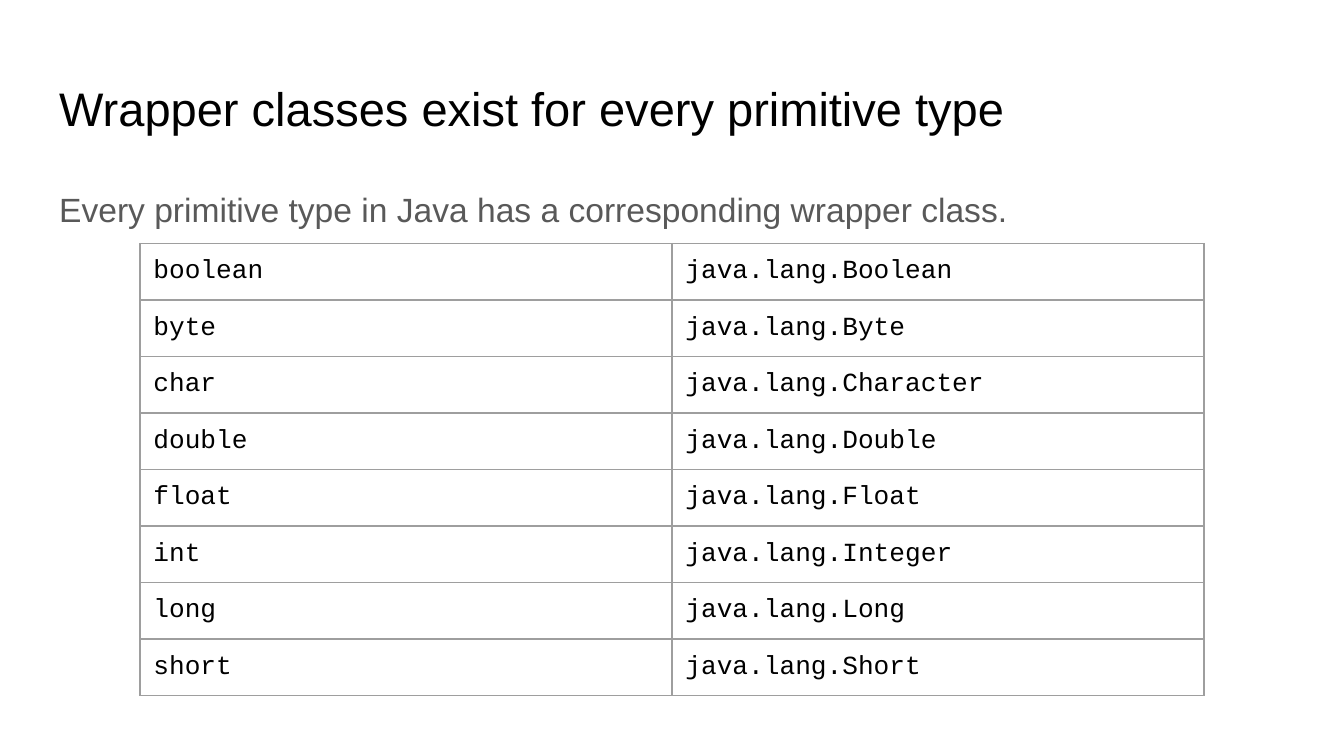
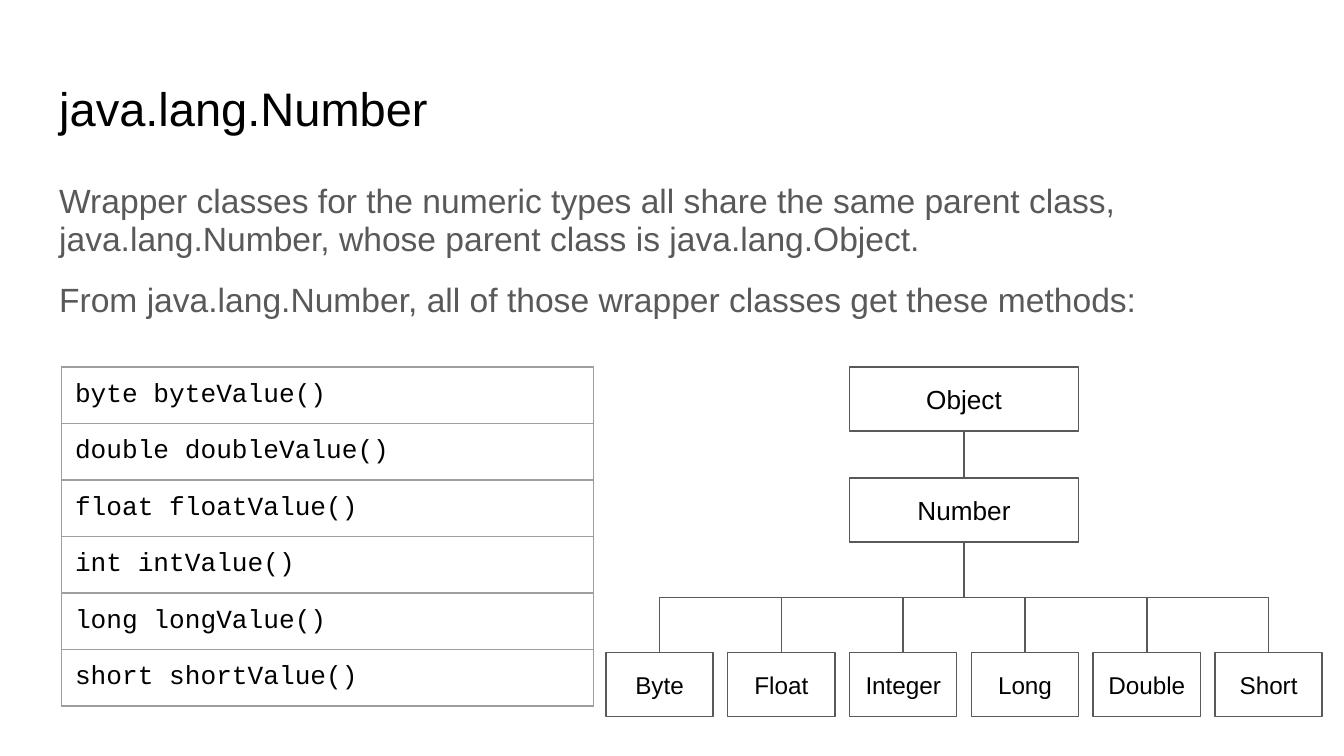
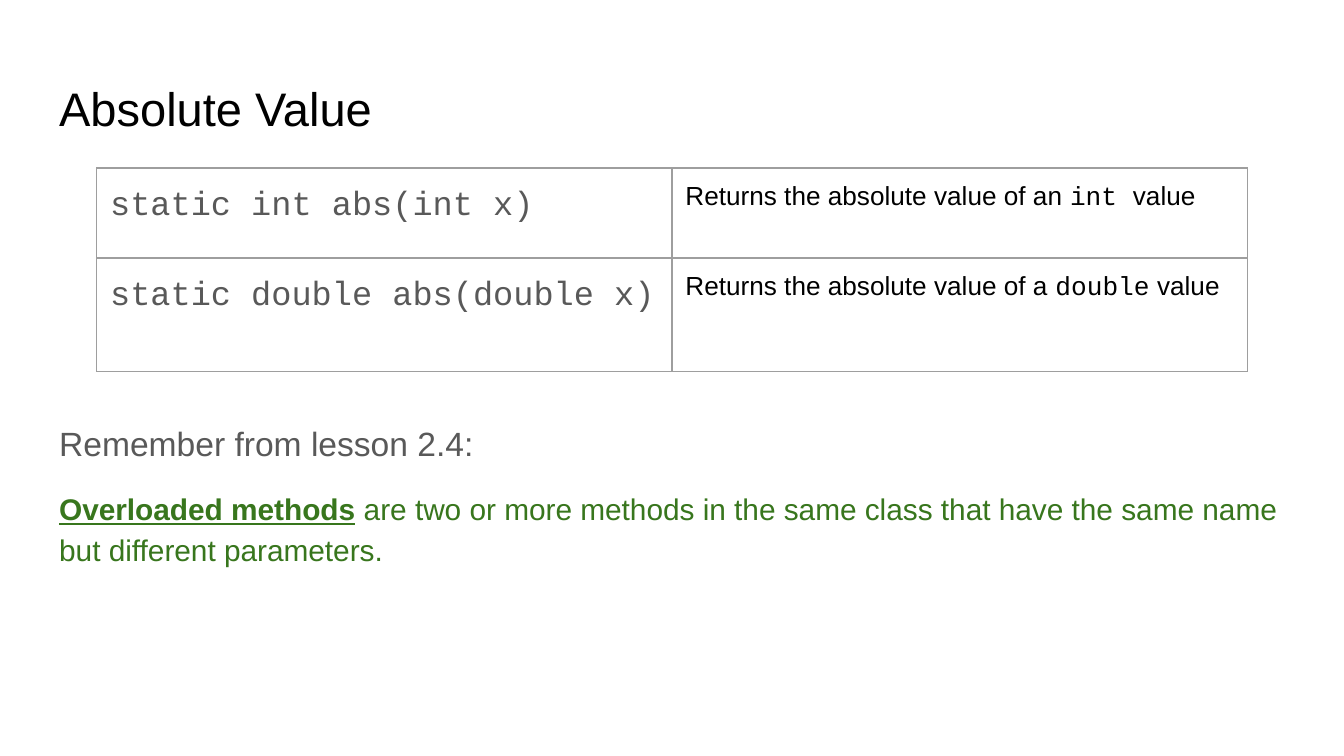
import dataclasses
import lxml.etree
import pptx
import pptx.dml.color
import pptx.enum.shapes
import pptx.enum.text
import pptx.oxml.ns
import pptx.util

Pt = pptx.util.Pt
qn = pptx.oxml.ns.qn
Align = pptx.enum.text.PP_ALIGN
Anchor = pptx.enum.text.MSO_ANCHOR
Link = pptx.enum.shapes.MSO_CONNECTOR


@dataclasses.dataclass(frozen=True)
class Theme:
    sans: str = "Arial"
    mono: str = "Courier New"
    ink: str = "000000"
    gray: str = "595959"
    rule: str = "9E9E9E"
    green: str = "38761D"
    title: float = 25.2
    body: float = 18
    term: float = 16
    cell: float = 14
    leaf: float = 13
    line: float = 0.75
    pad: float = 7.2


THEME = Theme()


def color(code):
    return pptx.dml.color.RGBColor.from_string(code)


def text(frame, words, bare=False, align=Align.LEFT, space=1, before=0, after=0, **base):
    para = frame.paragraphs[0]
    if para.runs:
        para = frame.add_paragraph()
    if bare:
        props = para._p.get_or_add_pPr()
        props.set("marL", "0")
        props.set("indent", "0")
        lxml.etree.SubElement(props, qn("a:buNone"))
    para.alignment = align
    para.line_spacing = space
    para.space_before, para.space_after = Pt(before), Pt(after)
    for part, extra in [(words, {})] if isinstance(words, str) else words:
        look = {"size": THEME.cell, "font": THEME.sans, "ink": THEME.ink, **base, **extra}
        run = para.add_run()
        run.text = part
        run.font.name = look["font"]
        run.font.size = Pt(look["size"])
        run.font.color.rgb = color(look["ink"])
        run.font.bold = run.font.underline = look.get("strong", False)


def pad(frame, anchor):
    frame.word_wrap = True
    frame.auto_size = pptx.enum.text.MSO_AUTO_SIZE.NONE
    frame.vertical_anchor = anchor
    frame.margin_left = frame.margin_right = Pt(THEME.pad)
    frame.margin_top = frame.margin_bottom = Pt(THEME.pad)


def place(shape, left, top, width, height):
    shape.left, shape.top = Pt(left), Pt(top)
    shape.width, shape.height = Pt(width), Pt(height)


def start(deck, title, top, height):
    slide = deck.slides.add_slide(deck.slide_layouts[1])
    head, body = slide.shapes.title, slide.placeholders[1]
    place(head, 24.5, 35, 671, 45.1)
    place(body, 24.5, top, 671, height)
    pad(head.text_frame, Anchor.BOTTOM)
    pad(body.text_frame, Anchor.TOP)
    text(head.text_frame, title, size=THEME.title)
    return slide, body.text_frame


def edge(cell):
    props = cell._tc.get_or_add_tcPr()
    for side in ("lnL", "lnR", "lnT", "lnB"):
        line = lxml.etree.SubElement(props, qn("a:" + side), w=str(Pt(THEME.line)))
        fill = lxml.etree.SubElement(line, qn("a:solidFill"))
        lxml.etree.SubElement(fill, qn("a:srgbClr"), val=THEME.rule)
    cell.fill.background()


def grid(slide, left, top, width, heights, rows, looks):
    count = len(looks)
    frame = slide.shapes.add_table(
        len(rows), count, Pt(left), Pt(top), Pt(width * count), Pt(sum(heights)))
    table = frame.table
    table.first_row = table.horz_banding = False
    for column in table.columns:
        column.width = Pt(width)
    for row, height, items in zip(table.rows, heights, rows):
        row.height = Pt(height)
        for cell, words, look in zip(row.cells, items, looks):
            edge(cell)
            cell.margin_left = cell.margin_right = Pt(THEME.pad)
            cell.margin_top = cell.margin_bottom = Pt(THEME.pad)
            text(cell.text_frame, words, **look)


def box(slide, words, left, top, width, height, size):
    shape = slide.shapes.add_shape(
        pptx.enum.shapes.MSO_SHAPE.RECTANGLE, Pt(left), Pt(top), Pt(width), Pt(height))
    shape.shadow.inherit = False
    shape.fill.background()
    shape.line.color.rgb = color(THEME.gray)
    shape.line.width = Pt(THEME.line)
    pad(shape.text_frame, Anchor.MIDDLE)
    text(shape.text_frame, words, align=Align.CENTER, size=size)
    return shape


def join(slide, upper, lower, kind):
    line = slide.shapes.add_connector(kind, 0, 0, 0, 0)
    line.begin_connect(upper, 2)
    line.end_connect(lower, 0)
    line.line.color.rgb = color(THEME.gray)
    line.line.width = Pt(THEME.line)
    lxml.etree.SubElement(line._element.spPr, qn("a:effectLst"))
    return line


def bend(slide, upper, lower):
    line = join(slide, upper, lower, Link.ELBOW)
    right = line.end_x > line.begin_x
    mid_x = (line.begin_x + line.end_x) // 2
    mid_y = (line.begin_y + line.end_y) // 2
    wide, tall = line.height, line.width
    line.left, line.top = mid_x - wide // 2, mid_y - tall // 2
    line.width, line.height = wide, tall
    frame = line._element.spPr.find(qn("a:xfrm"))
    frame.set("rot", str((270 if right else 90) * 60000))
    frame.set("flipH", "1" if right else "0")


def tree(slide, left, top, names):
    width, height, gap = 57.5, 34.4, 7.75
    step = width + gap
    stem = [
        box(slide, name, left + 2 * step, top + drop, width + step, height, THEME.cell)
        for name, drop in (("Object", 0), ("Number", 59.5))]
    leaves = [
        box(slide, name, left + i * step, top + 153, width, height, THEME.leaf)
        for i, name in enumerate(names)]
    join(slide, *stem, Link.STRAIGHT)
    for leaf in leaves:
        bend(slide, stem[1], leaf)


BODY = {"bare": True, "size": THEME.body, "ink": THEME.gray}
CODE = {"font": THEME.mono}
ROW = 30.2


def wrappers(deck):
    slide, body = start(deck, "Wrapper classes exist for every primitive type", 90.7, 38.2)
    text(body, "Every primitive type in Java has a corresponding wrapper class.",
         space=1.15, after=12, **BODY)
    kinds = ["boolean", "byte", "char", "double", "float", "int", "long", "short"]
    full = {"char": "Character", "int": "Integer"}
    rows = [(kind, "java.lang." + full.get(kind, kind.title())) for kind in kinds]
    grid(slide, 75, 130.4, 285, [ROW] * len(rows), rows, [CODE, CODE])


def number(deck):
    slide, body = start(deck, "java.lang.Number", 90.7, 90)
    text(body, "Wrapper classes for the numeric types all share the same parent class, "
         "java.lang.Number, whose parent class is java.lang.Object.", space=0.95, **BODY)
    text(body, "From java.lang.Number, all of those wrapper classes get these methods:",
         space=0.95, before=12, after=12, **BODY)
    kinds = ["byte", "double", "float", "int", "long", "short"]
    rows = [(f"{kind} {kind}Value()",) for kind in kinds]
    grid(slide, 33, 196.6, 285, [ROW] * len(rows), rows, [CODE])
    tree(slide, 324.6, 196.6, ["Byte", "Float", "Integer", "Long", "Double", "Short"])


def absolute(deck):
    slide, body = start(deck, "Absolute Value", 216, 144)
    text(body, "Remember from lesson 2.4:", space=1.15, **BODY)
    text(body, [
        ("Overloaded methods", {"strong": True}),
        (" are two or more methods in the same class that have the same name "
         "but different parameters.", {})],
        bare=True, space=1.15, before=12, size=THEME.term, ink=THEME.green)
    rows = [
        ("static int abs(int x)",
         [("Returns the absolute value of an ", {}), ("int ", CODE), ("value", {})]),
        ("static double abs(double x)",
         [("Returns the absolute value of a ", {}), ("double", CODE), (" value", {})])]
    call = {"font": THEME.mono, "size": THEME.body, "ink": THEME.gray,
            "space": 1.15, "after": 12}
    grid(slide, 51.8, 90, 308.2, [48.2, 60.7], rows, [call, {}])


def main():
    deck = pptx.Presentation()
    deck.slide_width, deck.slide_height = Pt(720), Pt(405)
    for build in (wrappers, number, absolute):
        build(deck)
    deck.save("out.pptx")


if __name__ == "__main__":
    main()
